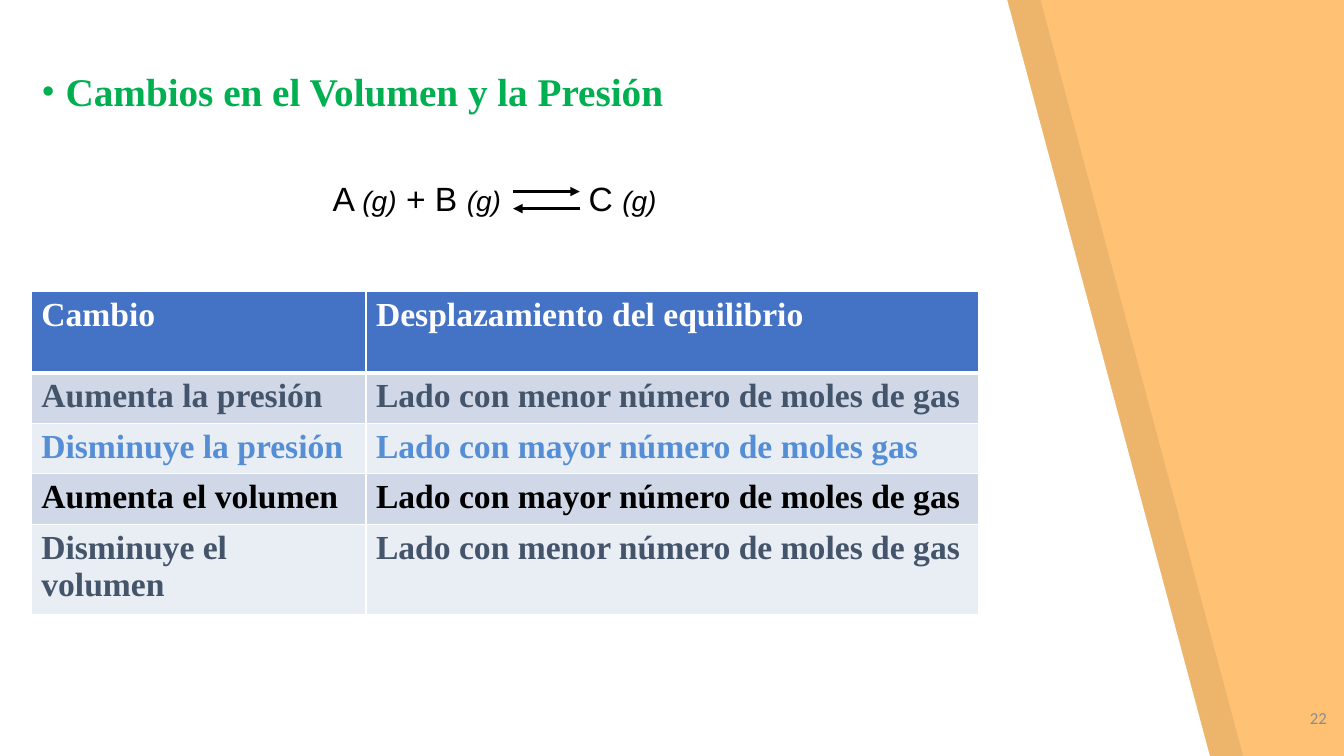
from dataclasses import dataclass

from lxml import etree
from pptx import Presentation
from pptx import util as u
from pptx.dml.color import RGBColor
from pptx.enum import shapes, text
from pptx.oxml.ns import qn


@dataclass(frozen=True)
class Theme:
    background: str = "FFC274"
    white: str = "FFFFFF"
    black: str = "000000"
    title: str = "00B050"
    header: str = "4472C4"
    bands: tuple = ("D0D8E8", "E9EDF4")
    slate: str = "44546A"
    blue: str = "558ED5"
    muted: str = "8C8C8C"
    serif: str = "Times New Roman"
    sans: str = "Arial"
    number_font: str = "Calibri"
    title_size: int = 28
    body_size: int = 24
    state_size: int = 20
    number_size: int = 12


class SlideBuilder:
    def __init__(self, slide, theme):
        self.slide, self.theme = slide, theme
        self.paint(slide.background.fill, theme.background)

    def paint(self, fill, color):
        fill.solid()
        fill.fore_color.rgb = RGBColor.from_string(color)

    def style(self, r, font, size, color, bold=False, italic=False):
        r.font.name, r.font.size = font, u.Pt(size)
        r.font.bold, r.font.italic = bold, italic
        r.font.color.rgb = RGBColor.from_string(color)

    def panel(self, left, color, alpha=None):
        """Full-height panel with a slanted right edge; alpha is a percentage."""
        corners = [(left, 0), (left, 7.5), (left + 12, 7.5), (left + 9.99, 0)]
        points = [(u.Inches(x), u.Inches(y)) for x, y in corners]
        builder = self.slide.shapes.build_freeform(*points[0])
        builder.add_line_segments(points[1:], close=True)
        sp = builder.convert_to_shape()
        sp.shadow.inherit = False
        sp.line.fill.background()
        self.paint(sp.fill, color)
        if alpha is not None:
            srgb = sp.fill._xPr.find(".//" + qn("a:srgbClr"))
            etree.SubElement(srgb, qn("a:alpha"), val=str(alpha * 1000))

    def title(self, wording, left, top, width, height):
        """Fill the title placeholder and bring it in front of the panels."""
        sp = self.slide.shapes.title
        self.slide.shapes._spTree.append(sp._element)
        sp.left, sp.top = u.Inches(left), u.Inches(top)
        sp.width, sp.height = u.Inches(width), u.Inches(height)
        tf = sp.text_frame
        tf.text = wording
        tf.word_wrap = False
        tf.auto_size = text.MSO_AUTO_SIZE.NONE
        tf.vertical_anchor = text.MSO_ANCHOR.TOP
        p = tf.paragraphs[0]
        p.alignment = text.PP_ALIGN.LEFT
        pPr = p._p.get_or_add_pPr()
        pPr.set("marL", str(u.Inches(0.24)))
        pPr.set("indent", str(-u.Inches(0.24)))
        etree.SubElement(pPr, qn("a:buFont"), typeface=self.theme.serif)
        etree.SubElement(pPr, qn("a:buChar"), char="•")
        self.style(p.runs[0], self.theme.serif, self.theme.title_size,
                   self.theme.title, bold=True)

    def textbox(self, left, top, width, height):
        sp = self.slide.shapes.add_textbox(*map(u.Inches, (left, top, width, height)))
        sp.text_frame.word_wrap = False
        return sp.text_frame

    def formula(self, parts, left, top, width, height):
        """Chemical terms, with each state such as (g) small and italic."""
        p = self.textbox(left, top, width, height).paragraphs[0]
        for part in parts:
            r = p.add_run()
            r.text = part
            state = part.startswith("(")
            size = self.theme.state_size if state else self.theme.body_size
            self.style(r, self.theme.sans, size, self.theme.black, italic=state)

    def arrow(self, start, end, y):
        line = self.slide.shapes.add_connector(
            shapes.MSO_CONNECTOR.STRAIGHT, *map(u.Inches, (start, y, end, y)))
        line.line.width = u.Pt(2.25)
        line.line.color.rgb = RGBColor.from_string(self.theme.black)
        etree.SubElement(line.line._get_or_add_ln(), qn("a:tailEnd"), type="triangle")
        etree.SubElement(line._element.spPr, qn("a:effectLst"))

    def borders(self, cell, widths):
        tcPr = cell._tc.get_or_add_tcPr()
        for i, (side, width) in enumerate(widths.items()):
            ln = etree.Element(qn("a:ln" + side), w=str(u.Pt(width)))
            fill = etree.SubElement(ln, qn("a:solidFill"))
            etree.SubElement(fill, qn("a:srgbClr"), val=self.theme.white)
            tcPr.insert(i, ln)

    def table(self, rows, colors, widths, heights, left, top):
        table = self.slide.shapes.add_table(
            len(rows), len(widths), u.Inches(left), u.Inches(top),
            u.Inches(sum(widths)), u.Inches(sum(heights))).table
        for column, width in zip(table.columns, widths):
            column.width = u.Inches(width)
        for i, (row, color) in enumerate(zip(rows, colors)):
            table.rows[i].height = u.Inches(heights[i])
            fill = self.theme.bands[(i - 1) % 2] if i else self.theme.header
            for j, wording in enumerate(row):
                cell = table.cell(i, j)
                cell.text_frame.text = wording
                self.style(cell.text_frame.paragraphs[0].runs[0], self.theme.serif,
                           self.theme.body_size, color, bold=True)
                self.paint(cell.fill, fill)
                self.borders(cell, {"L": 1, "R": 1, "T": 3 if i == 1 else 1,
                                    "B": 3 if i == 0 else 1})

    def page_number(self, number, left, top, width, height):
        tf = self.textbox(left, top, width, height)
        tf.word_wrap = True
        tf.margin_top = tf.margin_bottom = u.Inches(0.1)
        tf.text = number
        p = tf.paragraphs[0]
        p.alignment = text.PP_ALIGN.RIGHT
        self.style(p.runs[0], self.theme.number_font, self.theme.number_size,
                   self.theme.muted)


def main():
    prs = Presentation()
    prs.slide_width, prs.slide_height = u.Inches(13.33), u.Inches(7.5)
    theme = Theme()
    s = SlideBuilder(prs.slides.add_slide(prs.slide_layouts[5]), theme)

    s.panel(0.33, theme.black, alpha=7)
    s.panel(0, theme.white)
    s.title("Cambios en el Volumen y la Presión", 0.31, 0.62, 6.43, 0.57)

    s.formula(["A ", "(g)", " + B ", "(g)"], 3.2, 1.72, 1.9, 0.5)
    s.formula(["C ", "(g)"], 5.74, 1.72, 1, 0.5)
    s.arrow(5.09, 5.75, 1.9)
    s.arrow(5.75, 5.09, 2.07)

    s.table(
        rows=[
            ("Cambio", "Desplazamiento del equilibrio"),
            ("Aumenta la presión", "Lado con menor número de moles de gas"),
            ("Disminuye la presión", "Lado con mayor número de moles gas"),
            ("Aumenta el volumen", "Lado con mayor número de moles de gas"),
            ("Disminuye el volumen", "Lado con menor número de moles de gas"),
        ],
        colors=[theme.white, theme.slate, theme.blue, theme.black, theme.slate],
        widths=[3.32, 6.08], heights=[0.81, 0.5, 0.5, 0.5, 0.9], left=0.31, top=2.89)
    s.page_number("22", 12.46, 6.92, 0.8, 0.57)
    prs.save("out.pptx")


if __name__ == "__main__":
    main()
